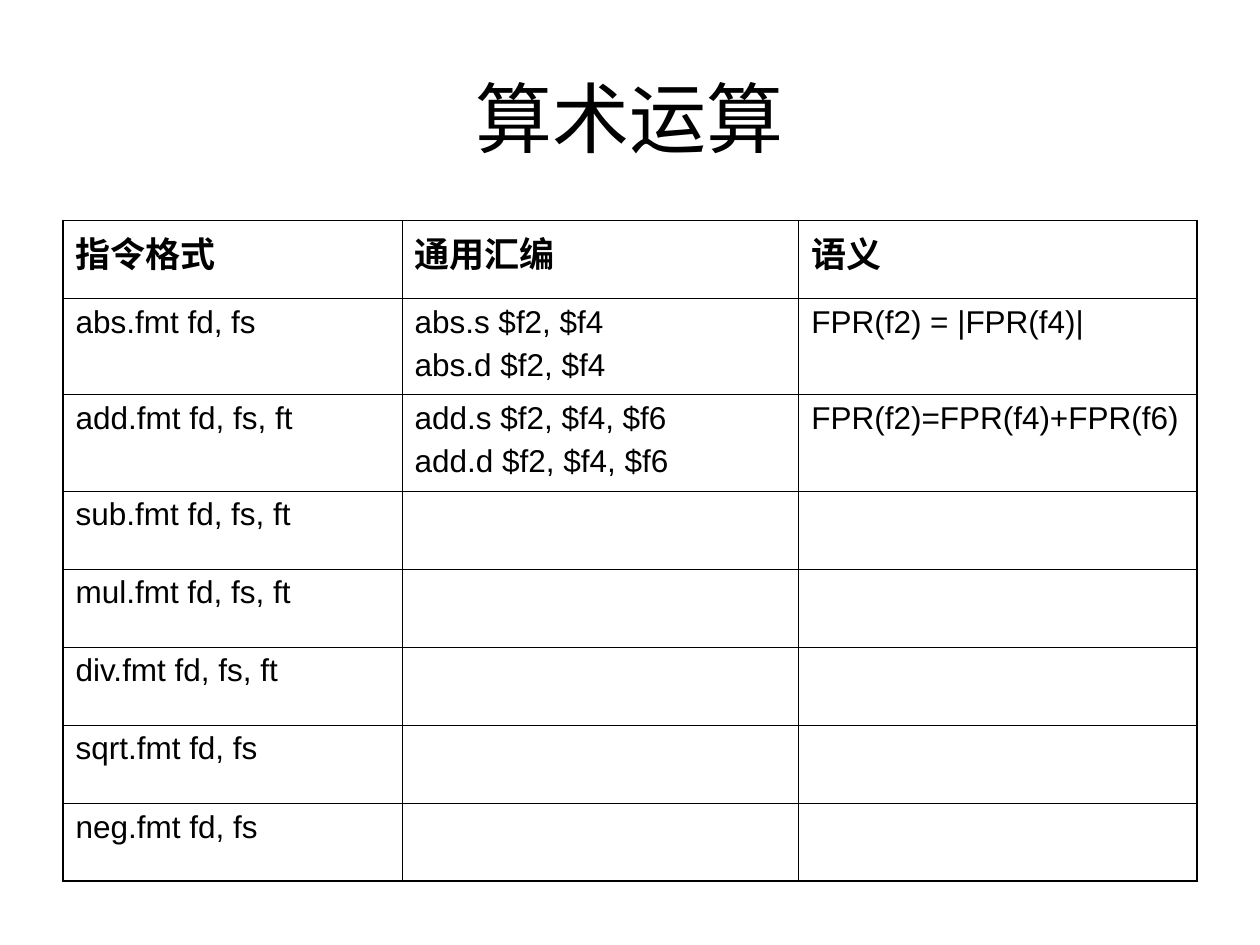
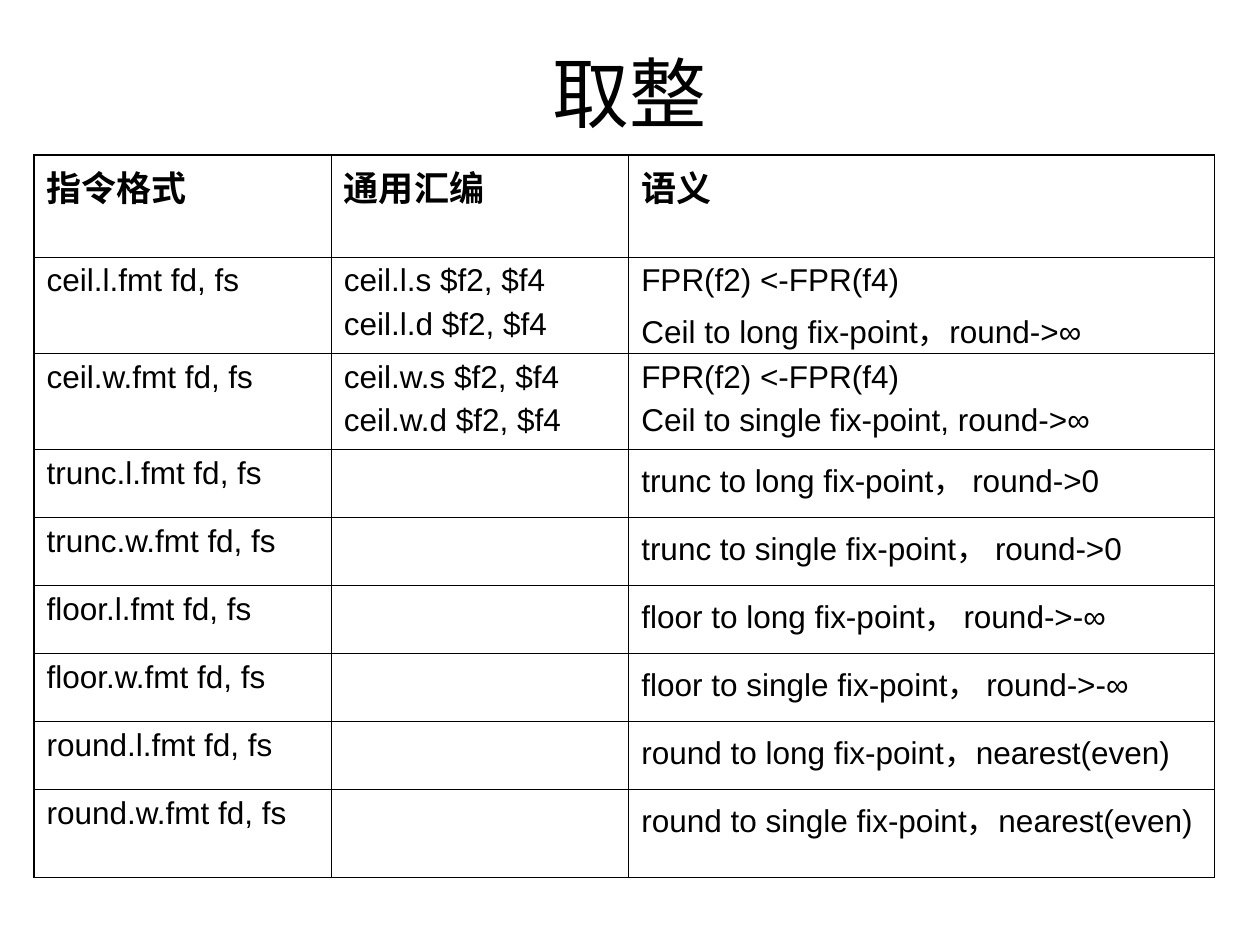
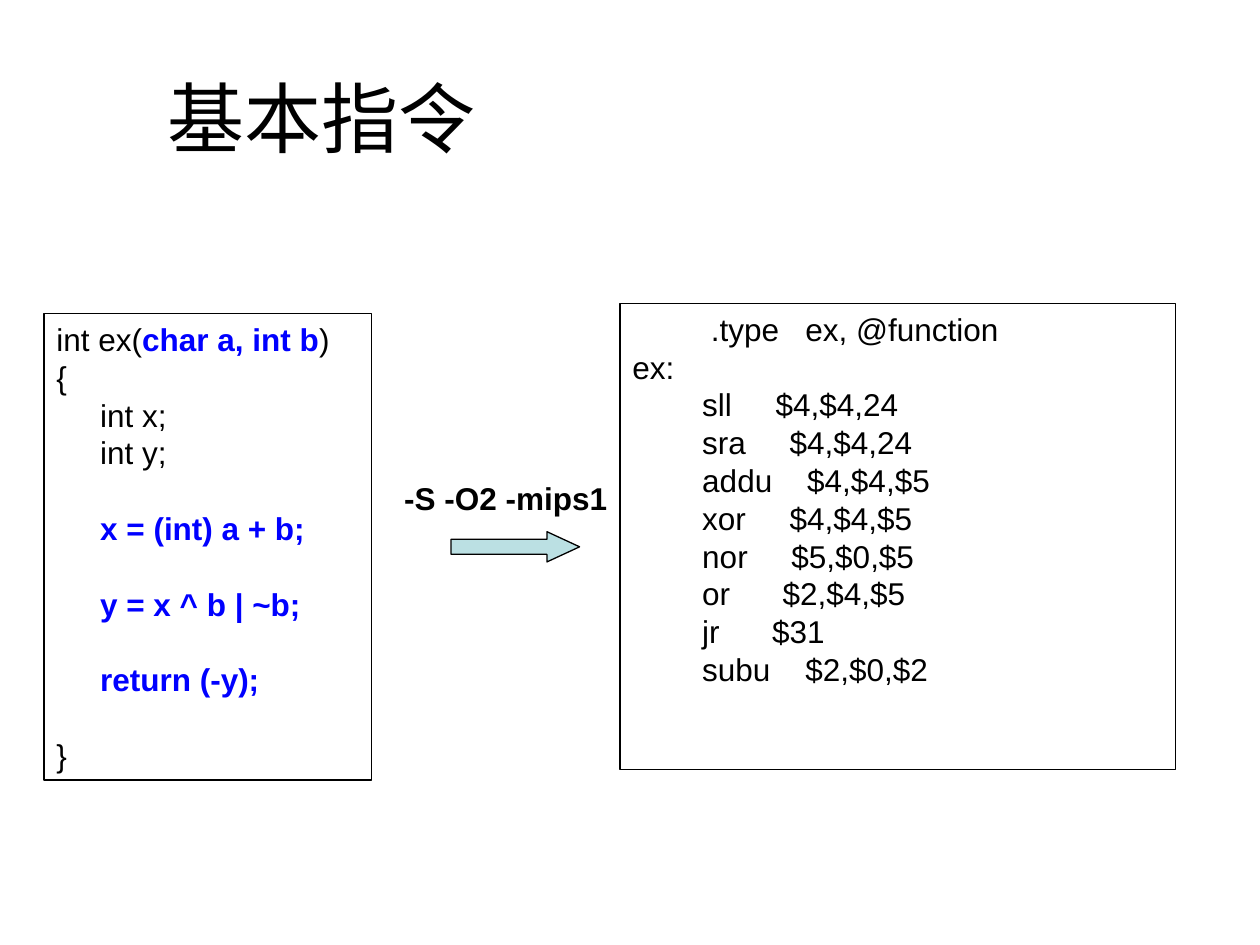
"""Build three slides on floating-point and basic machine instructions."""
from dataclasses import dataclass

from lxml import etree
from pptx import Presentation, util as u
from pptx.dml.color import RGBColor
from pptx.enum import shapes, text
from pptx.oxml.ns import qn


@dataclass(frozen=True)
class Theme:
    """Colours, type sizes and line widths."""
    font: str = "Arial"
    ink: str = "000000"
    key: str = "0000FF"
    arrow: str = "BBE0E3"
    title: int = 44
    head: int = 20
    body: int = 18
    gap: float = 4.5
    pitch: float = 21.6
    thick: float = 1.08
    thin: float = 0.45
    edge: float = 0.75


T = Theme()
WIDE, HIGH = 10, 7.5
EDGE, TOP = 0.5, 0.3

HEAD = ("指令格式", "通用汇编", "语义")
TABLES = [
    {"title": "算术运算", "high": 1.25, "at": (0.5, 1.75),
     "cols": (2.69, 3.15, 3.16),
     "rows": [0.62] + [0.76] * 2 + [0.62] * 5,
     "cells": [
         HEAD,
         ("abs.fmt fd, fs", "abs.s $f2, $f4\nabs.d $f2, $f4",
          "FPR(f2) = |FPR(f4)|"),
         ("add.fmt fd, fs, ft", "add.s $f2, $f4, $f6\nadd.d $f2, $f4, $f6",
          "FPR(f2)=FPR(f4)+FPR(f6)"),
         ("sub.fmt fd, fs, ft", "", ""),
         ("mul.fmt fd, fs, ft", "", ""),
         ("div.fmt fd, fs, ft", "", ""),
         ("sqrt.fmt fd, fs", "", ""),
         ("neg.fmt fd, fs", "", ""),
     ]},
    {"title": "取整", "high": 0.85, "at": (0.27, 1.23),
     "cols": (2.36, 2.36, 4.65),
     "rows": [0.81] + [0.76] * 2 + [0.54] * 5 + [0.7],
     "cells": [
         HEAD,
         ("ceil.l.fmt fd, fs", "ceil.l.s $f2, $f4\nceil.l.d $f2, $f4",
          "FPR(f2) <-FPR(f4)\nCeil to long fix-point，round->∞"),
         ("ceil.w.fmt fd, fs", "ceil.w.s $f2, $f4\nceil.w.d $f2, $f4",
          "FPR(f2) <-FPR(f4)\nCeil to single fix-point, round->∞"),
         ("trunc.l.fmt fd, fs", "", "trunc to long fix-point， round->0"),
         ("trunc.w.fmt fd, fs", "", "trunc to single fix-point， round->0"),
         ("floor.l.fmt fd, fs", "", "floor to long fix-point， round->-∞"),
         ("floor.w.fmt fd, fs", "", "floor to single fix-point， round->-∞"),
         ("round.l.fmt fd, fs", "", "round to long fix-point，nearest(even)"),
         ("round.w.fmt fd, fs", "", "round to single fix-point，nearest(even)"),
     ]},
]

BASIC = "基本指令"
FLAGS = "-S -O2 -mips1"
SOURCE = [
    (0, [("int ex(", 0), ("char a, int b", 1), (")", 0)]),
    (0, [("{", 0)]),
    (0, [("     int x;", 0)]),
    (0, [("     int y;", 0)]),
    (1, [("     ", 0), ("x = (int) a + b;", 1)]),
    (1, [("     y = x ^ b | ~b;", 1)]),
    (1, [("     return (-y);", 1)]),
    (1, [("}", 0)]),
]
ASM = [(0, [(line, 0)]) for line in (
    "         .type   ex, @function",
    "ex:",
    "        sll     $4,$4,24",
    "        sra     $4,$4,24",
    "        addu    $4,$4,$5",
    "        xor     $4,$4,$5",
    "        nor     $5,$0,$5",
    "        or      $2,$4,$5",
    "        jr      $31",
    "        subu    $2,$0,$2",
)]


def rgb(code):
    return RGBColor.from_string(code)


def inch(*nums):
    return [u.Inches(n) for n in nums]


def put(para, words, size=T.body, bold=False, color=T.ink):
    run = para.add_run()
    run.text = words
    font = run.font
    font.name, font.size, font.bold = T.font, u.Pt(size), bold
    font.color.rgb = rgb(color)


def para_at(frame, i):
    return frame.add_paragraph() if i else frame.paragraphs[0]


def label(slide, box, words, wrap=True, **style):
    frame = slide.shapes.add_textbox(*inch(*box)).text_frame
    frame.word_wrap = wrap
    put(frame.paragraphs[0], words, **style)
    return frame


def page(deck, title, wide, high):
    slide = deck.slides.add_slide(deck.slide_layouts[6])
    frame = label(slide, (EDGE, TOP, wide, high), title, size=T.title)
    frame.vertical_anchor = text.MSO_ANCHOR.MIDDLE
    frame.paragraphs[0].alignment = text.PP_ALIGN.CENTER
    return slide


def border(cell, outer):
    cell.fill.background()
    props = cell._tc.get_or_add_tcPr()
    for i, side in enumerate("LRTB"):
        width = T.thick if side in outer else T.thin
        line = etree.Element(qn("a:ln" + side), w=str(u.Pt(width)))
        fill = etree.SubElement(line, qn("a:solidFill"))
        etree.SubElement(fill, qn("a:srgbClr"), val=T.ink)
        props.insert(i, line)


def grid(slide, data):
    cols, rows = data["cols"], data["rows"]
    box = inch(*data["at"], sum(cols), sum(rows))
    table = slide.shapes.add_table(len(rows), len(cols), *box).table
    table.first_row = table.horz_banding = False
    for parts, sizes, name in ((table.columns, cols, "width"),
                               (table.rows, rows, "height")):
        for part, size in zip(parts, sizes):
            setattr(part, name, u.Inches(size))
    for r, row in enumerate(data["cells"]):
        for c, words in enumerate(row):
            cell = table.cell(r, c)
            ends = {"L": c == 0, "R": c == len(cols) - 1,
                    "T": r == 0, "B": r == len(rows) - 1}
            border(cell, [side for side, on in ends.items() if on])
            if not words:
                continue
            for i, line in enumerate(words.split("\n")):
                para = para_at(cell.text_frame, i)
                if i:
                    para.space_before = u.Pt(T.gap)
                put(para, line, T.body if r else T.head, r == 0)


def shape(slide, kind, box):
    item = slide.shapes.add_shape(kind, *inch(*box))
    item.shadow.inherit = False
    item.fill.background()
    item.line.color.rgb = rgb(T.ink)
    item.line.width = u.Pt(T.edge)
    return item


def code(slide, box, lines):
    frame = shape(slide, shapes.MSO_SHAPE.RECTANGLE, box).text_frame
    frame.word_wrap = True
    frame.vertical_anchor = text.MSO_ANCHOR.TOP
    for i, (skip, runs) in enumerate(lines):
        para = para_at(frame, i)
        para.alignment = text.PP_ALIGN.LEFT
        para.line_spacing = u.Pt(T.pitch)
        if skip:
            para.space_before = u.Pt(T.pitch * skip)
        for words, key in runs:
            put(para, words, bold=bool(key), color=T.key if key else T.ink)


def main():
    deck = Presentation()
    deck.slide_width, deck.slide_height = inch(WIDE, HIGH)
    for data in TABLES:
        grid(page(deck, data["title"], WIDE - 2 * EDGE, data["high"]), data)

    slide = page(deck, BASIC, 4.11, 1.25)
    code(slide, (0.35, 2.49, 2.6, 3.7), SOURCE)
    code(slide, (4.92, 2.41, 4.41, 3.7), ASM)
    arrow = shape(slide, shapes.MSO_SHAPE.RIGHT_ARROW, (3.58, 4.22, 1.02, 0.24))
    arrow.adjustments[0], arrow.adjustments[1] = 0.5, 1.08
    arrow.fill.solid()
    arrow.fill.fore_color.rgb = rgb(T.arrow)
    label(slide, (3.11, 3.75, 1.81, 0.4), FLAGS, wrap=False, bold=True)
    deck.save("out.pptx")


if __name__ == "__main__":
    main()
